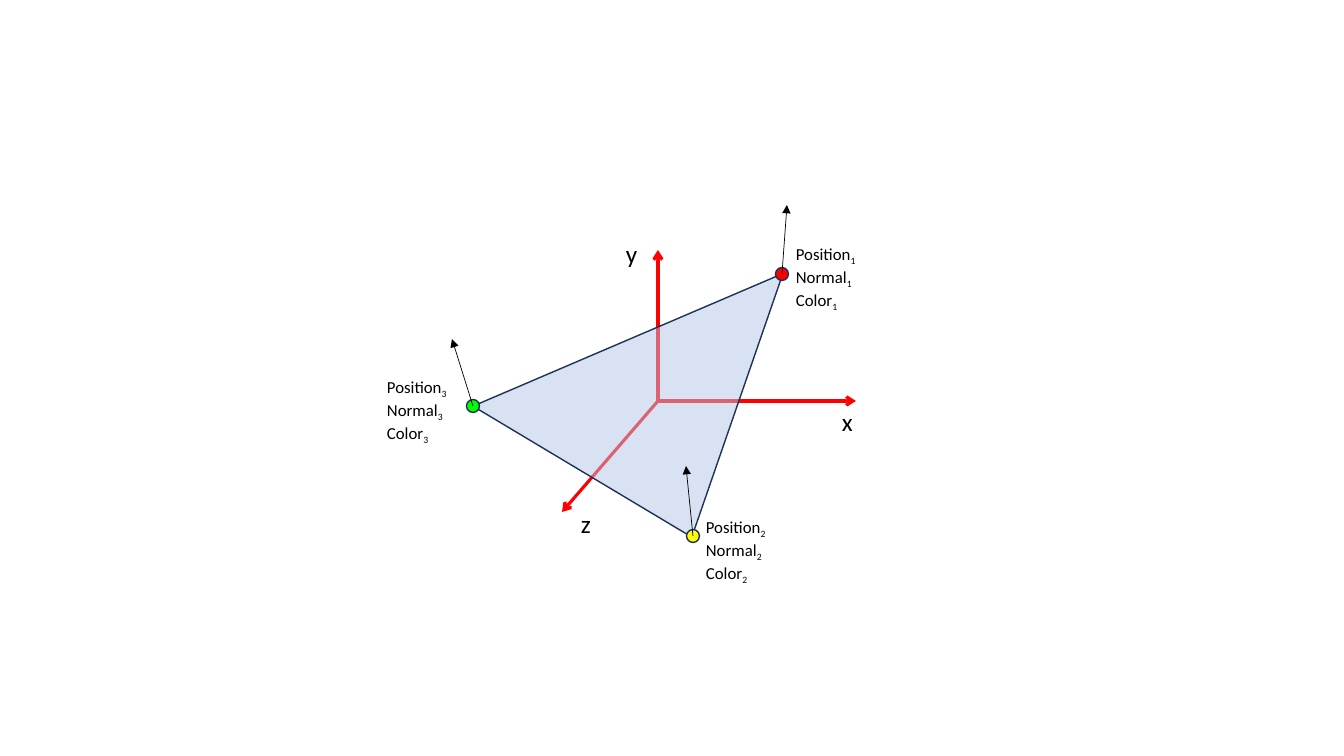
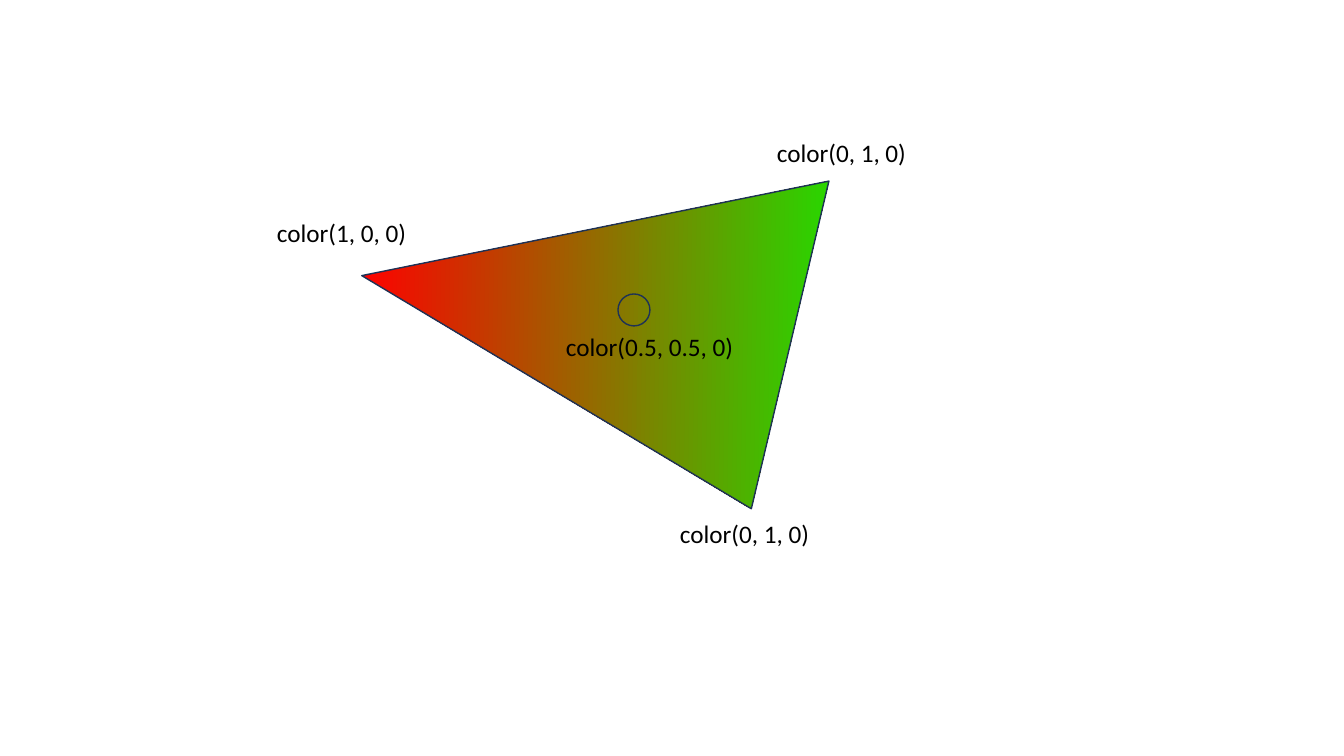
"""Build two slides that explain triangle vertices and colour interpolation."""
import dataclasses

import pptx
import pptx.dml.color
import pptx.enum.shapes
import pptx.enum.text
import pptx.oxml
import pptx.oxml.ns
import pptx.util


@dataclasses.dataclass(frozen=True)
class Theme:
    font: str = "Calibri"
    text: str = "000000"
    outline: str = "1E3256"
    surface: str = "B4C7E7"
    surface_alpha: int = 50
    axis: str = "FF0000"
    red: str = "FF0000"
    green: str = "00FF00"
    yellow: str = "FFFF00"
    label_size: int = 18
    attribute_size: int = 12
    axis_width: float = 2.25
    outline_width: float = 1
    normal_width: float = 0.5


THEME = Theme()
PIXELS_PER_INCH = 100.8
SLIDE_SIZE = (1344, 756)
LABEL_HEIGHT = 40
TRIANGLE_ROTATION = 30.9
TRIANGLE_APEX = 0.776
GRADIENT_ANGLE = 30

ORIGIN = (658, 401)
AXES = [
    ("x", (856, 401), (832, 401)),
    ("y", (658, 250), (616, 233)),
    ("z", (562, 512), (571, 503)),
]
AXIS_LABEL_WIDTH = 31
SURFACE_BOX = (525, 218, 255, 273)
ATTRIBUTES = ["Position", "Normal", "Color"]
ATTRIBUTE_SIZE = (93, 72)
VERTEX_DIAMETER = 13
VERTICES = [
    {"index": "1", "color": THEME.red, "center": (782, 274), "normal": (787, 205), "label": (786, 239)},
    {"index": "2", "color": THEME.yellow, "center": (693, 536), "normal": (686, 466), "label": (696, 512)},
    {"index": "3", "color": THEME.green, "center": (473, 406), "normal": (452, 339), "label": (377, 372)},
]

GRADIENT_BOX = (412, 94, 454, 321)
SAMPLE_CENTER = (634, 310)
SAMPLE_DIAMETER = 32
COLOR_LABELS = [
    ("color(1, 0, 0)", (267, 212), 174),
    ("color(0, 1, 0)", (767, 132), 174),
    ("color(0, 1, 0)", (670, 513), 174),
    ("color(0.5, 0.5, 0)", (556, 326), 199),
]


def px(*lengths):
    return [pptx.util.Emu(round(length * 914400 / PIXELS_PER_INCH)) for length in lengths]


def rgb(color):
    return pptx.dml.color.RGBColor.from_string(color)


def add_element(parent, tag, **attributes):
    child = pptx.oxml.parse_xml(f"<{tag} {pptx.oxml.ns.nsdecls('a')}/>")
    for name, value in attributes.items():
        child.set(name, str(value))
    parent.append(child)


def set_line(shape, color, width):
    shape.line.color.rgb = rgb(color)
    shape.line.width = pptx.util.Pt(width)


def add_text(shapes, lines, box, size=THEME.label_size, color=THEME.text, subscript="", wrap=True):
    shape = shapes.add_textbox(*px(*box))
    frame = shape.text_frame
    frame.word_wrap = wrap
    frame.auto_size = pptx.enum.text.MSO_AUTO_SIZE.SHAPE_TO_FIT_TEXT
    for number, line in enumerate(lines):
        paragraph = frame.add_paragraph() if number else frame.paragraphs[0]
        for text in filter(None, (line, subscript)):
            run = paragraph.add_run()
            run.text = text
            run.font.name = THEME.font
            run.font.size = pptx.util.Pt(size)
            run.font.color.rgb = rgb(color)
        if subscript:
            run.font._element.set("baseline", "-25000")


def add_arrow(shapes, start, end, color, width, head):
    connector = shapes.add_connector(pptx.enum.shapes.MSO_CONNECTOR.STRAIGHT, *px(*start, *end))
    set_line(connector, color, width)
    add_element(connector.get_or_add_ln(), "a:tailEnd", type=head)
    add_element(connector.element.spPr, "a:effectLst")


def add_outlined(shapes, kind, box):
    shape = shapes.add_shape(kind, *px(*box))
    shape.shadow.inherit = False
    set_line(shape, THEME.outline, THEME.outline_width)
    return shape


def add_triangle(shapes, box):
    triangle = add_outlined(shapes, pptx.enum.shapes.MSO_SHAPE.ISOSCELES_TRIANGLE, box)
    triangle.adjustments[0] = TRIANGLE_APEX
    triangle.rotation = TRIANGLE_ROTATION
    return triangle


def add_circle(shapes, center, diameter, color=None):
    left, top = (value - diameter / 2 for value in center)
    circle = add_outlined(shapes, pptx.enum.shapes.MSO_SHAPE.OVAL, (left, top, diameter, diameter))
    if color:
        circle.fill.solid()
        circle.fill.fore_color.rgb = rgb(color)
    else:
        circle.fill.background()


def build_vertex_slide(slide):
    axes = slide.shapes.add_group_shape().shapes
    for name, tip, corner in AXES:
        add_arrow(axes, ORIGIN, tip, THEME.axis, THEME.axis_width, "arrow")
        add_text(axes, [name], (*corner, AXIS_LABEL_WIDTH, LABEL_HEIGHT), wrap=False)

    surface = add_triangle(slide.shapes, SURFACE_BOX)
    surface.fill.solid()
    surface.fill.fore_color.rgb = rgb(THEME.surface)
    fill_color = surface.element.spPr.find(".//" + pptx.oxml.ns.qn("a:srgbClr"))
    add_element(fill_color, "a:alpha", val=THEME.surface_alpha * 1000)

    for vertex in VERTICES:
        add_circle(slide.shapes, vertex["center"], VERTEX_DIAMETER, vertex["color"])
        add_text(slide.shapes, ATTRIBUTES, (*vertex["label"], *ATTRIBUTE_SIZE),
                 size=THEME.attribute_size, subscript=vertex["index"])
        add_arrow(slide.shapes, vertex["center"], vertex["normal"],
                  THEME.text, THEME.normal_width, "triangle")


def build_color_slide(slide):
    triangle = add_triangle(slide.shapes, GRADIENT_BOX)
    triangle.fill.gradient()
    triangle.fill.gradient_angle = GRADIENT_ANGLE
    for stop, color in zip(triangle.fill.gradient_stops, (THEME.red, THEME.green)):
        stop.color.rgb = rgb(color)

    add_circle(slide.shapes, SAMPLE_CENTER, SAMPLE_DIAMETER)
    for text, corner, width in COLOR_LABELS:
        add_text(slide.shapes, [text], (*corner, width, LABEL_HEIGHT))


def main():
    presentation = pptx.Presentation()
    presentation.slide_width, presentation.slide_height = px(*SLIDE_SIZE)
    blank_layout = presentation.slide_layouts[6]
    for build in (build_vertex_slide, build_color_slide):
        build(presentation.slides.add_slide(blank_layout))
    presentation.save("out.pptx")


if __name__ == "__main__":
    main()
